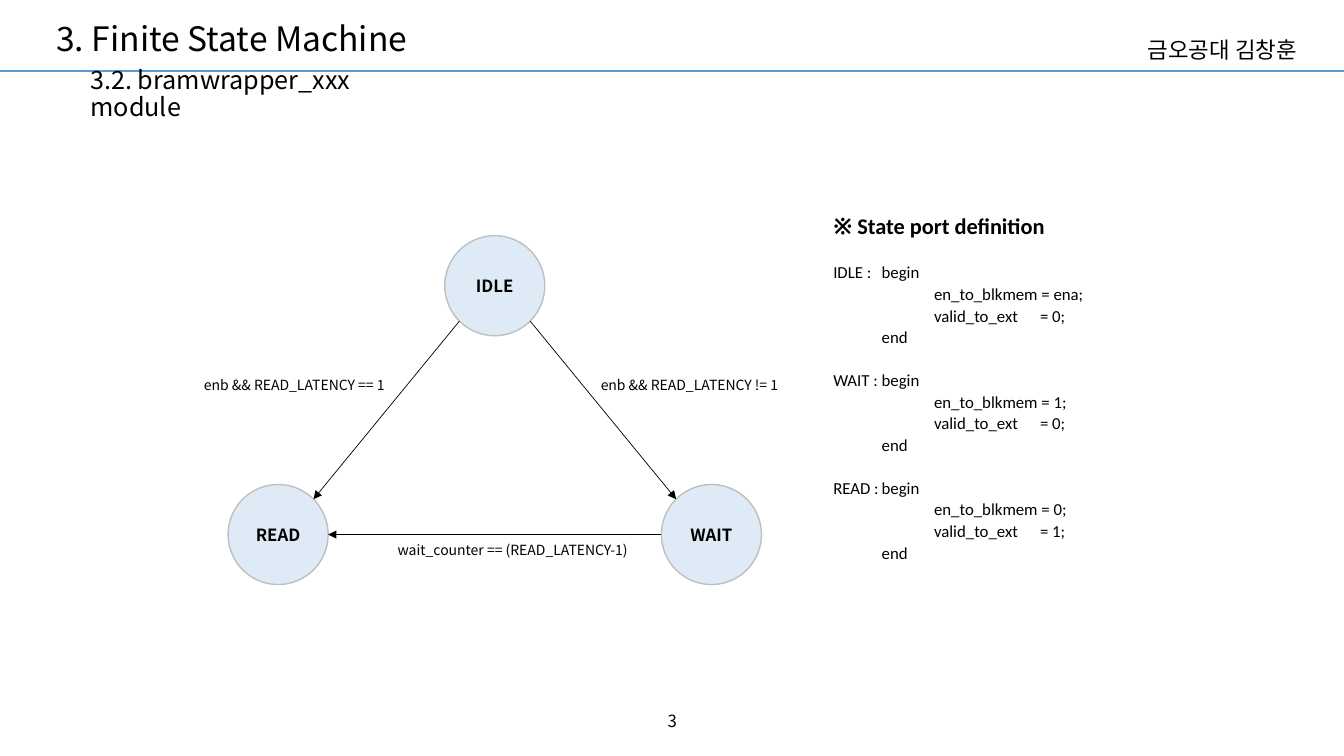
from math import cos, radians, sin

from lxml import etree
from pptx import Presentation
from pptx.dml.color import RGBColor
from pptx.enum.shapes import MSO_CONNECTOR, MSO_SHAPE
from pptx.enum.text import MSO_ANCHOR, PP_ALIGN
from pptx.oxml.ns import qn
from pptx.util import Cm, Pt

LEFT, CENTER = PP_ALIGN.LEFT, PP_ALIGN.CENTER
TOP, MIDDLE = MSO_ANCHOR.TOP, MSO_ANCHOR.MIDDLE
STRAIGHT, OVAL = MSO_CONNECTOR.STRAIGHT, MSO_SHAPE.OVAL

COLORS = {"text": "000000", "rule": "5B9BD5", "state": "DEEBF7", "outline": "BFBFBF"}
SANS, CODE = "Noto Sans CJK KR", "Calibri"
SLIDE_W, SLIDE_H = 33.87, 19.05
RADIUS = 1.26
MID_X, HALF_BASE = 12.47, 5.46
STATES = {
    "IDLE": (MID_X, 7.2),
    "READ": (MID_X - HALF_BASE, 13.47),
    "WAIT": (MID_X + HALF_BASE, 13.47),
}
# Start state, angle of leaving, end state, angle of arrival (clockwise from right)
TRANSITIONS = [
    ("IDLE", 135, "READ", -45),
    ("IDLE", 45, "WAIT", -135),
    ("WAIT", 180, "READ", 0),
]
LABELS = [
    ("enb && READ_LATENCY == 1", (4.52, 9.37, 5.79, 0.69)),
    ("enb && READ_LATENCY != 1", (14.48, 9.37, 5.79, 0.69)),
    ("wait_counter == (READ_LATENCY-1)", (9.63, 13.51, 6.58, 0.69)),
]
# State, en_to_blkmem, valid_to_ext
PORTS = [("IDLE", "ena", 0), ("WAIT", 1, 0), ("READ", 0, 1)]
CODE_TABS = (1.22, 2.54, 5.21)


def rgb(name):
    """Return the named colour."""
    return RGBColor.from_string(COLORS[name])


def write(p, text, size=12, font=SANS, bold=False, align=LEFT, spacing=1.0, before=0):
    """Put formatted text into a paragraph."""
    p.alignment, p.line_spacing, p.space_before = align, spacing, Pt(before)
    r = p.add_run()
    r.text = text
    r.font.name, r.font.size, r.font.bold = font, Pt(size), bold
    r.font.color.rgb = rgb("text")
    etree.SubElement(r.font._element, qn("a:ea"), typeface=SANS)


def add_box(s, box, anchor=TOP):
    """Add a wrapping text box and return its text frame."""
    tf = s.shapes.add_textbox(*(Cm(v) for v in box)).text_frame
    tf.word_wrap, tf.vertical_anchor = True, anchor
    return tf


def add_text(s, text, box, anchor=TOP, **fmt):
    """Add a text box with one paragraph and return its text frame."""
    tf = add_box(s, box, anchor)
    write(tf.paragraphs[0], text, **fmt)
    return tf


def add_line(s, start, end, color, width, arrow=False):
    """Add a straight line, with an arrowhead at its end if wanted."""
    sp = s.shapes.add_connector(STRAIGHT, *(Cm(v) for v in (*start, *end)))
    sp.line.color.rgb, sp.line.width = rgb(color), Pt(width)
    if arrow:
        etree.SubElement(sp.line._get_or_add_ln(), qn("a:tailEnd"), type="triangle")
    etree.SubElement(sp._element.spPr, qn("a:effectLst"))


def add_state(s, name):
    """Add a state circle with its name."""
    x, y = STATES[name]
    box = (x - RADIUS, y - RADIUS, 2 * RADIUS, 2 * RADIUS)
    sp = s.shapes.add_shape(OVAL, *(Cm(v) for v in box))
    sp.shadow.inherit = False
    sp.fill.solid()
    sp.fill.fore_color.rgb = rgb("state")
    sp.line.color.rgb, sp.line.width = rgb("outline"), Pt(1)
    tf = sp.text_frame
    tf.vertical_anchor = MIDDLE
    tf.margin_left = tf.margin_right = tf.margin_top = tf.margin_bottom = 0
    write(tf.paragraphs[0], name, bold=True, align=CENTER)


def rim_point(name, angle):
    """Return the point on a state's circle at an angle."""
    x, y = STATES[name]
    return x + RADIUS * cos(radians(angle)), y + RADIUS * sin(radians(angle))


def set_tabs(p, stops):
    """Give a paragraph left tab stops."""
    tabs = etree.SubElement(p._p.get_or_add_pPr(), qn("a:tabLst"))
    for stop in stops:
        etree.SubElement(tabs, qn("a:tab"), pos=str(int(Cm(stop))), algn="l")


def add_port_definition(s, box):
    """Add the heading and the port values of every state."""
    tf = add_text(s, "※ State port definition", box, size=16, font=CODE,
                  bold=True, spacing=1.07)
    for state, enable, valid in PORTS:
        lines = [f"{state} :\tbegin", f"\t\ten_to_blkmem = {enable};",
                 f"\t\tvalid_to_ext\t= {valid};", "\tend"]
        for i, line in enumerate(lines):
            p = tf.add_paragraph()
            write(p, line, font=CODE, spacing=1.07, before=0 if i else 15.4)
            set_tabs(p, CODE_TABS)


def main():
    """Build the slide and save it."""
    prs = Presentation()
    prs.slide_width, prs.slide_height = Cm(SLIDE_W), Cm(SLIDE_H)
    s = prs.slides.add_slide(prs.slide_layouts[6])

    add_line(s, (0, 1.78), (SLIDE_W, 1.78), "rule", 1.5)
    add_text(s, "금오공대 김창훈", (28.68, 0.79, 4.83, 0.94), size=16)
    add_text(s, "3. Finite State Machine", (1.17, 0.36, 10.34, 1.32), MIDDLE,
             size=24, spacing=0.9)
    tf = add_text(s, "3.2. bramwrapper_xxx module", (2.03, 1.73, 9.47, 1.32), MIDDLE,
                  size=18, spacing=0.9)
    tf.margin_right = Cm(0.6)
    add_text(s, "3", (13.13, 17.65, 7.62, 1.02), MIDDLE, align=CENTER)

    for name in STATES:
        add_state(s, name)
    for source, leave, target, arrive in TRANSITIONS:
        add_line(s, rim_point(source, leave), rim_point(target, arrive),
                 "text", 0.5, arrow=True)
    for text, box in LABELS:
        add_text(s, text, box, size=10, align=CENTER)
    add_port_definition(s, (20.75, 5.18, 8.41, 9.78))

    prs.save("out.pptx")


main()
